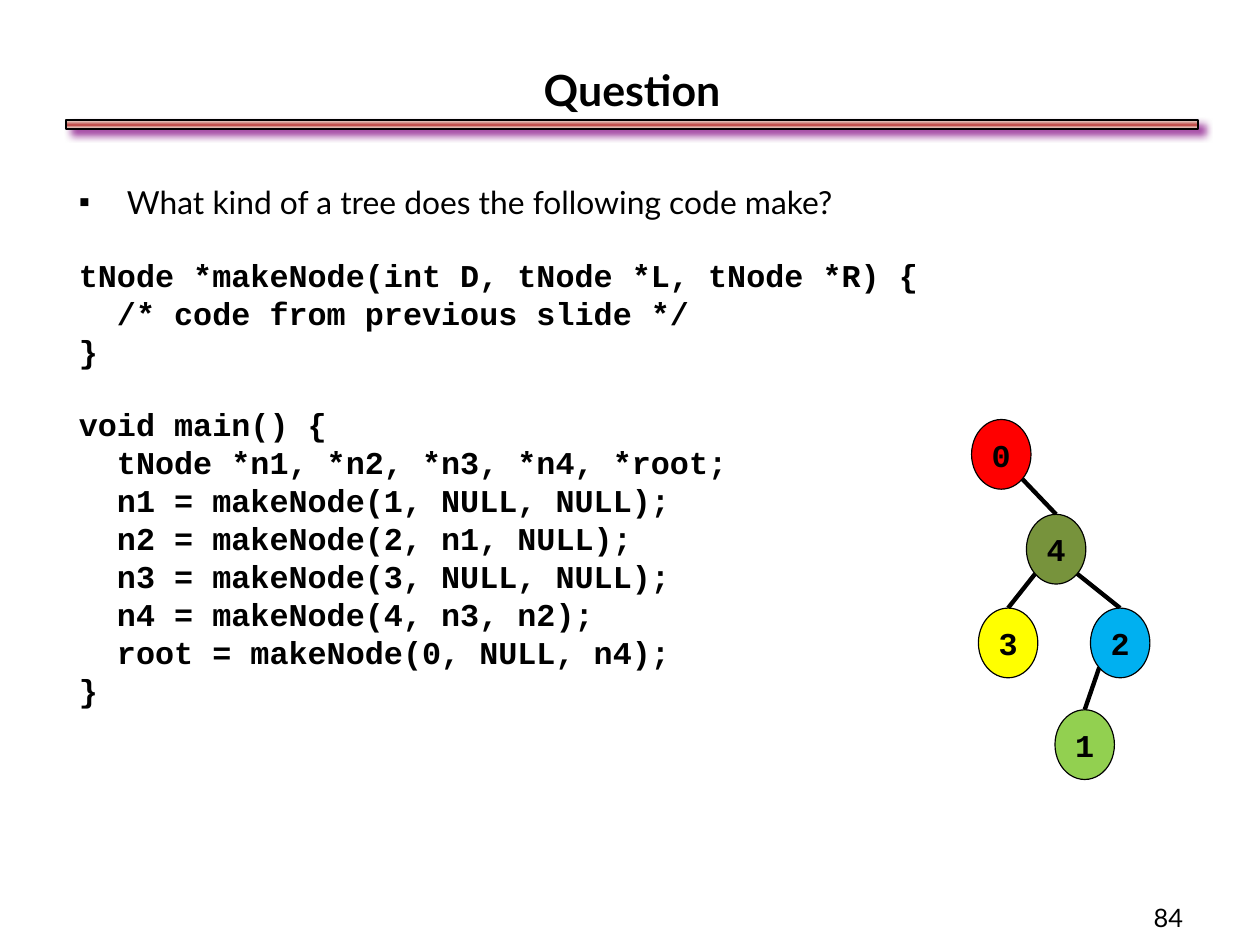
from copy import deepcopy
from lxml import etree
from pptx import Presentation
from pptx import util as u
from pptx.dml.color import RGBColor
from pptx.enum import shapes, text
from pptx.oxml import ns

INK = {"black": "000000", "cream": "EEECE1", "brick": "C0504D", "purple": "800080",
       "red": "FF0000", "olive": "77933C", "yellow": "FFFF00", "blue": "00B0F0",
       "green": "92D050"}
rgb = {name: RGBColor.from_string(code) for name, code in INK.items()}


def add(parent, tag, **attrs):
    return etree.SubElement(parent, ns.qn(tag), attrs)


def style(para, face, size, bold=False):
    font = para.font
    font.name, font.size, font.bold = face, u.Pt(size), bold
    font.color.rgb = rgb["black"]


# The page is a metric size, 28 by 21 cm
deck = Presentation()
deck.slide_width, deck.slide_height = u.Cm(28), u.Cm(21)
slide = deck.slides.add_slide(deck.slide_layouts[1])
items = slide.shapes
title, body = slide.placeholders

# Bar under the title
bar = items.add_shape(shapes.MSO_SHAPE.RECTANGLE, u.Inches(0.58), u.Inches(1.05),
                      u.Inches(9.9), u.Inches(0.08))
bar.line.color.rgb, bar.line.width = rgb["black"], u.Pt(1)
bar.fill.gradient()
bar.fill.gradient_angle = 90
first, last = bar.fill.gradient_stops
first.color.rgb, last.color.rgb = rgb["cream"], rgb["brick"]
first.position, last.position = 0, 0.5
stops = bar._element.spPr.find(".//" + ns.qn("a:gsLst"))
end = deepcopy(stops[0])
end.set("pos", "100000")
stops.append(end)
bar.shadow.inherit = False
glow = add(bar._element.spPr.find(ns.qn("a:effectLst")), "a:outerShdw",
           blurRad=str(u.Pt(5)), dist=str(u.Pt(5)), dir=str(37 * 60000),
           algn="ctr", rotWithShape="0")
add(add(glow, "a:srgbClr", val=INK["purple"]), "a:alpha", val="75000")

# Title, body and page number frames
page = items.add_textbox(0, 0, 0, 0)
for box, left, top, width, height in [(title, 0.58, 0.5, 9.9, 0.57),
                                      (body, 0.58, 1.54, 9.87, 6.21),
                                      (page, 8.17, 7.83, 2.29, 0.57)]:
    box.left, box.top = u.Inches(left), u.Inches(top)
    box.width, box.height = u.Inches(width), u.Inches(height)
    frame = box.text_frame
    frame.word_wrap, frame.auto_size = True, text.MSO_AUTO_SIZE.NONE
    frame.margin_left = frame.margin_right = u.Inches(0.11)
    frame.margin_top = frame.margin_bottom = u.Inches(0.06)
    frame.vertical_anchor = text.MSO_ANCHOR.TOP

title.text_frame.vertical_anchor = text.MSO_ANCHOR.MIDDLE
for box, words, side, size in [(title, "Question", text.PP_ALIGN.CENTER, 27),
                               (page, "84", text.PP_ALIGN.RIGHT, 16)]:
    box.text_frame.text = words
    para = box.text_frame.paragraphs[0]
    para.alignment = side
    style(para, "Lato", size, box is title)

# Question and code
CODE = """tNode *makeNode(int D, tNode *L, tNode *R) {
  /* code from previous slide */
}
void main() {
  tNode *n1, *n2, *n3, *n4, *root;
  n1 = makeNode(1, NULL, NULL);
  n2 = makeNode(2, n1, NULL);
  n3 = makeNode(3, NULL, NULL);
  n4 = makeNode(4, n3, n2);
  root = makeNode(0, NULL, n4);
}"""
body.text_frame.text = "What kind of a tree does the following code make?\n" + CODE
ask, *code = body.text_frame.paragraphs
props = ask._p.get_or_add_pPr()
props.set("marL", str(u.Inches(0.42)))
props.set("indent", str(-u.Inches(0.42)))
ask.space_before = u.Pt(0)
add(add(props, "a:buClr"), "a:srgbClr", val=INK["black"])
add(props, "a:buFont", typeface="Arial")
add(props, "a:buChar", char="▪")
style(ask, "Lato", 20)

for para in code:
    props = para._p.get_or_add_pPr()
    props.set("marL", "0")
    props.set("indent", "0")
    para.line_spacing = u.Pt(23.95)
    opens = para.text.endswith("{")
    para.space_before = u.Pt(22 if opens else 0)
    add(props, "a:buNone")
    style(para, "Courier New", 20, True)

# Tree: place and colour of each node, then its edges
WIDE, HIGH = 0.52, 0.61
nodes = {"0": (8.5, 3.67, "red"), "4": (8.98, 4.5, "olive"), "3": (8.56, 5.32, "yellow"),
         "2": (9.54, 5.32, "blue"), "1": (9.23, 6.21, "green")}
edges = [("0", "4", "right"), ("4", "3", "left"), ("4", "2", "right"), ("2", "1", "left")]

for top, low, side in edges:
    x, y, _ = nodes[top]
    to_x, to_y, _ = nodes[low]
    x += WIDE * (0.85 if side == "right" else 0.15)
    edge = items.add_connector(shapes.MSO_CONNECTOR.STRAIGHT, u.Inches(x),
                               u.Inches(y + HIGH * 0.85), u.Inches(to_x + WIDE / 2),
                               u.Inches(to_y))
    edge.line.color.rgb, edge.line.width = rgb["black"], u.Pt(2.75)
    add(edge._element.spPr, "a:effectLst")

for label, (x, y, tint) in nodes.items():
    node = items.add_shape(shapes.MSO_SHAPE.OVAL, u.Inches(x), u.Inches(y),
                           u.Inches(WIDE), u.Inches(HIGH))
    node.shadow.inherit = False
    node.fill.solid()
    node.fill.fore_color.rgb = rgb[tint]
    node.line.color.rgb, node.line.width = rgb["black"], u.Pt(0.75)
    frame = node.text_frame
    frame.word_wrap = False
    frame.text = label
    frame.paragraphs[0].alignment = text.PP_ALIGN.CENTER
    style(frame.paragraphs[0], "Courier New", 20, True)

deck.save("out.pptx")
